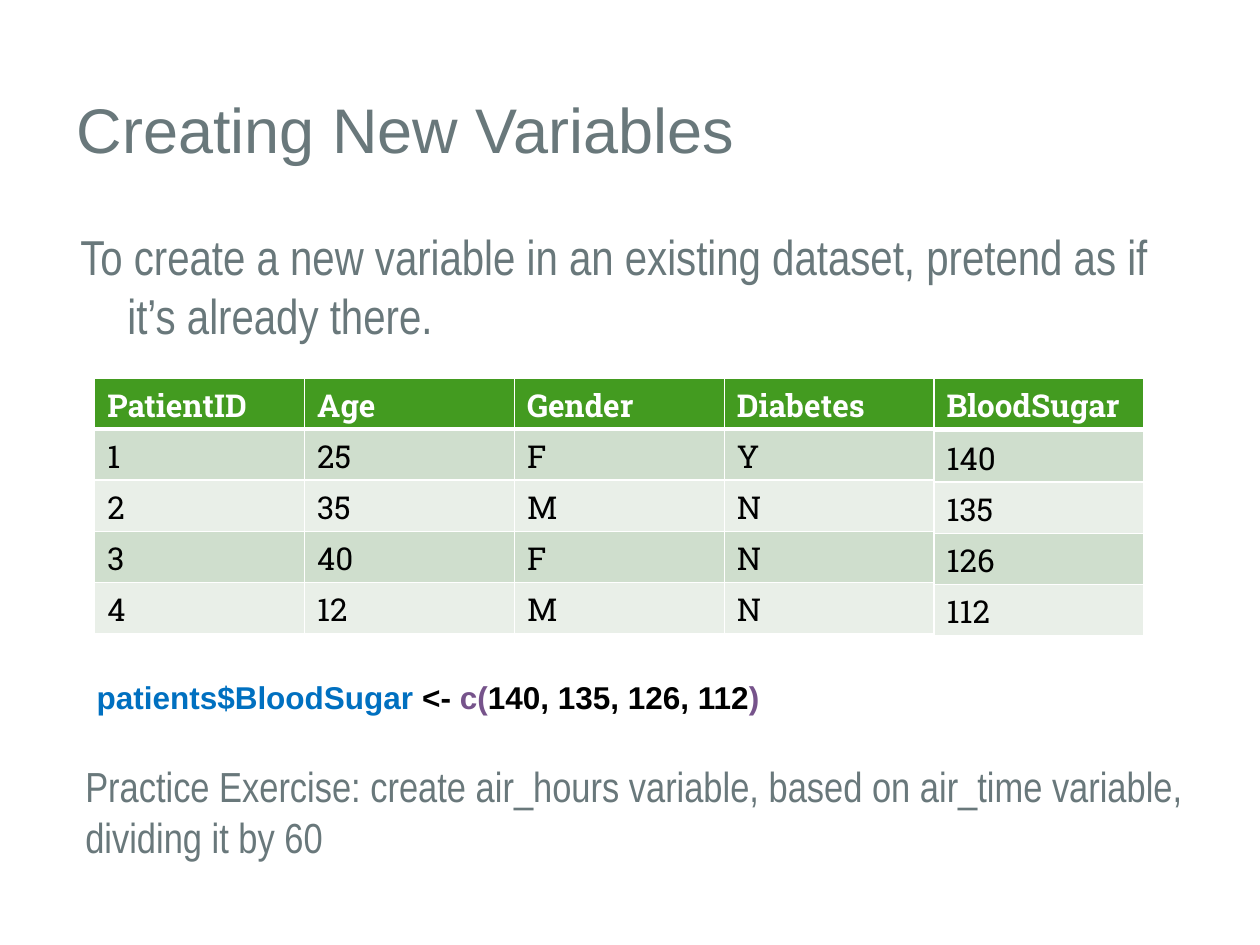
"""Build the slide about creating new variables in a dataset."""
import dataclasses
import typing

import pptx
import pptx.dml.color
import pptx.enum.text
import pptx.oxml.ns
import pptx.presentation
import pptx.slide
import pptx.util
from lxml import etree

Cm = pptx.util.Cm
Pt = pptx.util.Pt


@dataclasses.dataclass(frozen=True)
class Theme:
    """Colours, fonts and type sizes."""
    slate: str = "69787B"
    header: str = "439B20"
    bands: tuple[str, str] = ("CFDECD", "E9EFE8")
    white: str = "FFFFFF"
    black: str = "000000"
    blue: str = "0070C0"
    purple: str = "76538B"
    sans: str = "Arial"
    narrow: str = "Arial Narrow"
    slab: str = "Roboto Slab"
    title: int = 36
    body: int = 28
    exercise: int = 24
    small: int = 18


THEME = Theme()


class Run(typing.NamedTuple):
    """A stretch of text in one colour."""
    text: str
    color: str


@dataclasses.dataclass(frozen=True)
class TextBlock:
    """A text box, measured in centimetres."""
    box: tuple[float, float, float, float]
    runs: list[Run]
    font: str
    size: int
    bold: bool = False
    hanging: float = 0
    anchor: pptx.enum.text.MSO_ANCHOR = pptx.enum.text.MSO_ANCHOR.TOP


@dataclasses.dataclass(frozen=True)
class Grid:
    """A table, measured in centimetres."""
    left: float
    top: float
    rows: list[list[str]]
    has_header: bool
    bottom_margin: float = 0.13


COLUMN_WIDTH = 4.23
ROW_HEIGHT = 1.03
TABLE_LEFT = 1.91
TABLE_TOP = 7.62
NEW_COLUMN_LEFT = TABLE_LEFT + 4 * COLUMN_WIDTH

TEXT_BLOCKS = [
    TextBlock((1.3, 1.22, 20.09, 2.72), [Run("Creating New Variables", THEME.slate)],
              THEME.sans, THEME.title, anchor=pptx.enum.text.MSO_ANCHOR.MIDDLE),
    TextBlock((1.37, 4.45, 22.61, 2.97),
              [Run("To create a new variable in an existing dataset, "
                   "pretend as if it’s already there.", THEME.slate)],
              THEME.narrow, THEME.body, hanging=0.95),
    TextBlock((1.7, 13.54, 16.94, 1.02),
              [Run("patients$BloodSugar", THEME.blue), Run(" <- ", THEME.black),
               Run("c(", THEME.purple), Run("140, 135, 126, 112", THEME.black),
               Run(")", THEME.purple)],
              THEME.sans, THEME.small, bold=True),
    TextBlock((1.47, 15.21, 23.5, 2.31),
              [Run("Practice Exercise: create air_hours variable, based on air_time "
                   "variable, dividing it by 60", THEME.slate)],
              THEME.narrow, THEME.exercise),
]

GRIDS = [
    Grid(TABLE_LEFT, TABLE_TOP,
         [["PatientID", "Age", "Gender", "Diabetes"], ["1", "25", "F", "Y"],
          ["2", "35", "M", "N"], ["3", "40", "F", "N"], ["4", "12", "M", "N"]], True),
    Grid(NEW_COLUMN_LEFT, TABLE_TOP, [["BloodSugar"]], True),
    Grid(NEW_COLUMN_LEFT, 8.69, [["140"], ["135"], ["126"], ["112"]], False, 0.06),
]


def add_run(paragraph, run: Run, font: str, size: int, bold: bool) -> None:
    """Append a formatted run to a paragraph."""
    part = paragraph.add_run()
    part.text = run.text
    for name, value in {"name": font, "size": Pt(size), "bold": bold}.items():
        setattr(part.font, name, value)
    part.font.color.rgb = pptx.dml.color.RGBColor.from_string(run.color)


def add_text(slide: pptx.slide.Slide, block: TextBlock) -> None:
    """Draw a text block."""
    frame = slide.shapes.add_textbox(*map(Cm, block.box)).text_frame
    for name, value in {"word_wrap": True, "vertical_anchor": block.anchor}.items():
        setattr(frame, name, value)
    paragraph = frame.paragraphs[0]
    if block.hanging:
        properties = paragraph._p.get_or_add_pPr()
        properties.set("marL", str(Cm(block.hanging)))
        properties.set("indent", str(-Cm(block.hanging)))
    for run in block.runs:
        add_run(paragraph, run, block.font, block.size, block.bold)


def set_borders(cell, widths: dict[str, int]) -> None:
    """Give a cell white borders of the given point widths."""
    qn = pptx.oxml.ns.qn
    properties = cell._tc.get_or_add_tcPr()
    for side, width in widths.items():
        line = etree.SubElement(properties, qn(f"a:ln{side}"), w=str(Pt(width)))
        fill = etree.SubElement(line, qn("a:solidFill"))
        etree.SubElement(fill, qn("a:srgbClr"), val=THEME.white)


def add_grid(slide: pptx.slide.Slide, grid: Grid) -> None:
    """Draw a table with an optional header and banded rows."""
    row_count, column_count = len(grid.rows), len(grid.rows[0])
    table = slide.shapes.add_table(
        row_count, column_count, Cm(grid.left), Cm(grid.top),
        Cm(column_count * COLUMN_WIDTH), Cm(row_count * ROW_HEIGHT)).table
    for name, value in {"first_row": grid.has_header, "horz_banding": False}.items():
        setattr(table, name, value)
    for column in table.columns:
        column.width = Cm(COLUMN_WIDTH)
    for row_index, values in enumerate(grid.rows):
        table.rows[row_index].height = Cm(ROW_HEIGHT)
        is_header = grid.has_header and row_index == 0
        band = THEME.bands[(row_index - grid.has_header) % 2]
        for column_index, value in enumerate(values):
            cell = table.cell(row_index, column_index)
            cell.margin_bottom = Cm(grid.bottom_margin)
            below_header = grid.has_header and row_index == 1
            set_borders(cell, {"L": 1, "R": 1, "T": 3 if below_header else 1,
                               "B": 3 if is_header else 1})
            cell.fill.solid()
            cell.fill.fore_color.rgb = pptx.dml.color.RGBColor.from_string(
                THEME.header if is_header else band)
            add_run(cell.text_frame.paragraphs[0],
                    Run(value, THEME.white if is_header else THEME.black),
                    THEME.slab, THEME.small, is_header)


def main() -> None:
    """Build and save the presentation."""
    presentation = pptx.Presentation()
    size = {"slide_width": Cm(25.4), "slide_height": Cm(19.05)}
    for name, value in size.items():
        setattr(presentation, name, value)
    slide = presentation.slides.add_slide(presentation.slide_layouts[6])
    for block in TEXT_BLOCKS:
        add_text(slide, block)
    for grid in GRIDS:
        add_grid(slide, grid)
    presentation.save("out.pptx")


if __name__ == "__main__":
    main()
